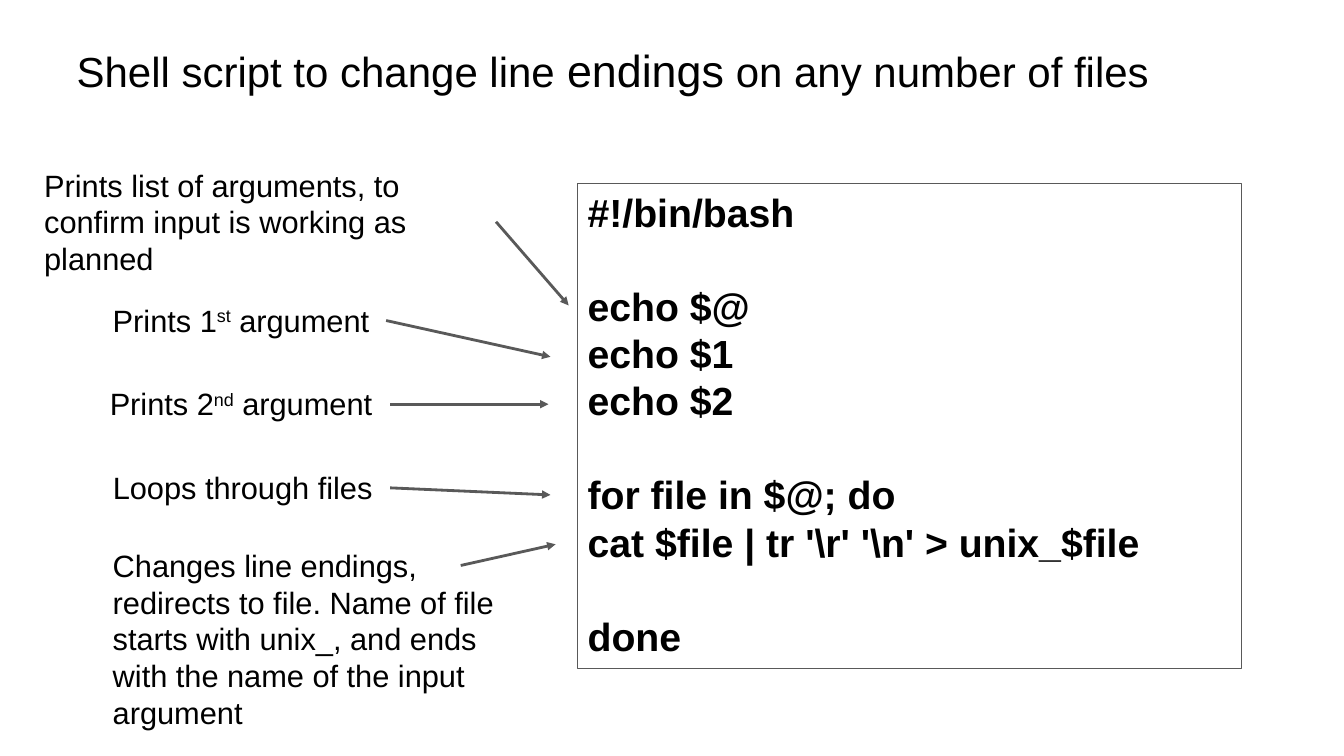
import pptx
import pptx.util
import pptx.dml.color
import pptx.enum.shapes
import pptx.enum.text
import pptx.oxml
from pptx.util import Inches, Pt

BLACK = pptx.dml.color.RGBColor(0x00, 0x00, 0x00)
GRAY = pptx.dml.color.RGBColor(0x59, 0x59, 0x59)
LEFT = pptx.enum.text.PP_ALIGN.LEFT
TOP = pptx.enum.text.MSO_ANCHOR.TOP

CODE_SIZE = 28
CODE_GAP = Pt(33.6)
CODE_BLOCKS = [
    ["#!/bin/bash"],
    ["echo $@", "echo $1", "echo $2"],
    ["for file in $@; do", r"cat $file | tr '\r' '\n' > unix_$file"],
    ["done "],
]

NOTES = [
    ((0.34, 1.6, 4.57, 1.21), True,
     ["Prints list of arguments, to confirm input is working as planned"]),
    ((1.02, 2.94, 2.8, 0.47), False, ["Prints 1", "st", " argument"]),
    ((0.99, 3.77, 2.88, 0.47), False, ["Prints 2", "nd", " argument"]),
    ((1.02, 4.6, 2.85, 0.47), False, ["Loops through files"]),
    ((1.02, 5.37, 4.07, 1.95), True,
     ["Changes line endings, redirects to file. Name of file starts with "
      "unix_, and ends with the name of the input argument"]),
]

ARROWS = [
    (4.92, 2.2, 5.64, 3.03),
    (3.83, 3.18, 5.46, 3.54),
    (3.87, 4.01, 5.44, 4.01),
    (3.87, 4.84, 5.46, 4.91),
    (4.57, 5.61, 5.51, 5.4),
]


def set_values(target, values):
    for name, value in values.items():
        setattr(target, name, value)


def add_span(para, text, size, bold=False):
    span = para.add_run()
    span.text = text
    set_values(span.font, {"name": "Arial", "size": Pt(size), "bold": bold})
    span.font.color.rgb = BLACK
    return span


def format_frame(frame, wrap):
    set_values(frame, {"word_wrap": wrap, "vertical_anchor": TOP})
    frame.paragraphs[0].alignment = LEFT


def fill_title(page):
    title = page.shapes.title
    set_values(title, {"left": Inches(0.66), "top": Inches(0.37),
                       "width": Inches(11.21), "height": Inches(0.64)})
    format_frame(title.text_frame, False)
    para = title.text_frame.paragraphs[0]
    add_span(para, "Shell script to change line ", 30)
    add_span(para, "endings", 32)
    add_span(para, " on any number of files", 30)


def add_code(page):
    box = page.shapes.add_shape(
        pptx.enum.shapes.MSO_SHAPE.RECTANGLE,
        Inches(5.73), Inches(1.82), Inches(6.58), Inches(4.81))
    box.shadow.inherit = False
    box.fill.background()
    box.line.color.rgb = GRAY
    box.line.width = Pt(0.75)
    frame = box.text_frame
    format_frame(frame, True)
    for block_index, block in enumerate(CODE_BLOCKS):
        for line_index, text in enumerate(block):
            first = block_index == line_index == 0
            para = frame.paragraphs[0] if first else frame.add_paragraph()
            starts_block = block_index > 0 and line_index == 0
            set_values(para, {"alignment": LEFT,
                              "space_before": CODE_GAP if starts_block else Pt(0)})
            add_span(para, text, CODE_SIZE, True)


def add_note(page, place, wrap, parts):
    box = page.shapes.add_textbox(*map(Inches, place))
    format_frame(box.text_frame, wrap)
    for index, text in enumerate(parts):
        span = add_span(box.text_frame.paragraphs[0], text, 22)
        if index == 1:
            span.font._element.set("baseline", "30000")


def add_arrow(page, ends):
    arrow = page.shapes.add_connector(
        pptx.enum.shapes.MSO_CONNECTOR.STRAIGHT, *map(Inches, ends))
    arrow.line.color.rgb = GRAY
    arrow.line.width = Pt(2)
    tail = pptx.oxml.parse_xml(
        '<a:tailEnd xmlns:a="http://schemas.openxmlformats.org/drawingml/2006/main"'
        ' type="triangle"/>')
    arrow.line._get_or_add_ln().append(tail)
    effects = pptx.oxml.parse_xml(
        '<a:effectLst xmlns:a="http://schemas.openxmlformats.org/drawingml/2006/main"/>')
    arrow._element.spPr.append(effects)


def main():
    deck = pptx.Presentation()
    set_values(deck, {"slide_width": Inches(13.33), "slide_height": Inches(7.5)})
    page = deck.slides.add_slide(deck.slide_layouts[5])
    fill_title(page)
    add_code(page)
    for note in NOTES:
        add_note(page, *note)
    for ends in ARROWS:
        add_arrow(page, ends)
    deck.save("out.pptx")


main()
